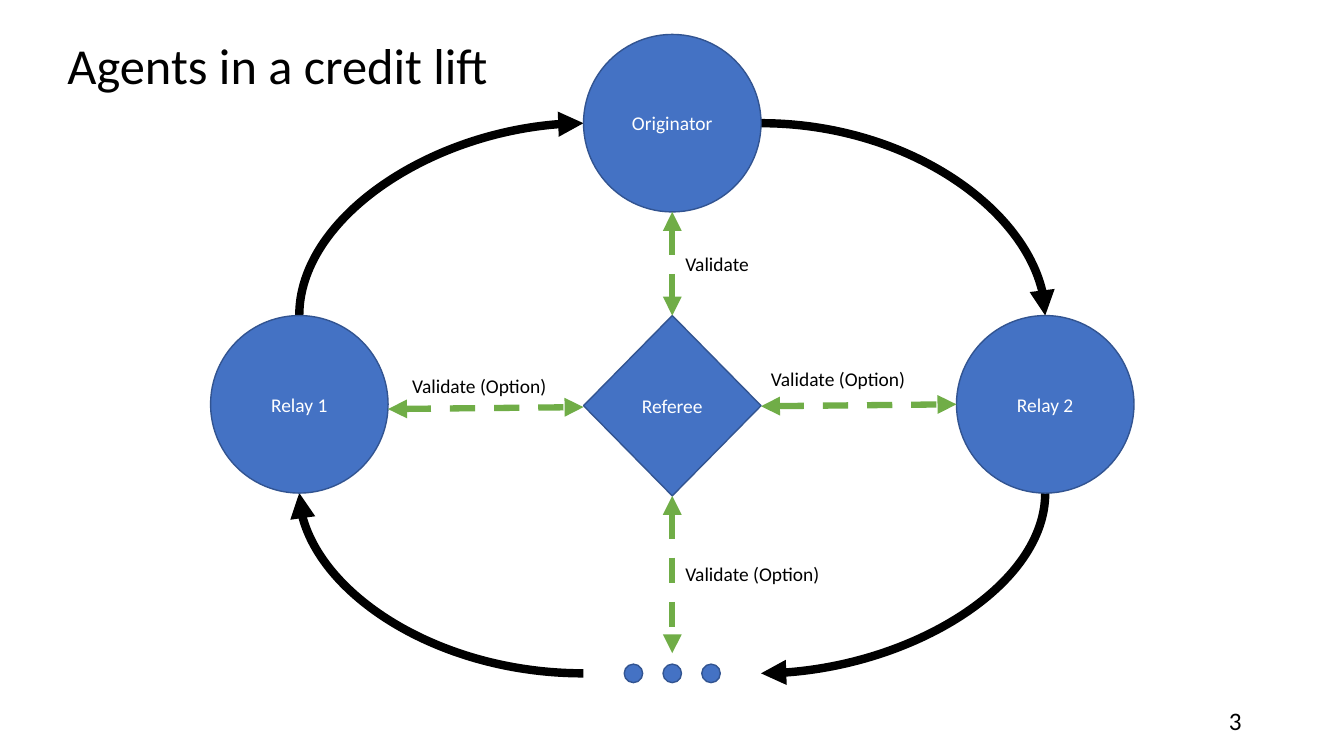
import lxml.etree
import pptx
import pptx.util
import pptx.dml.color
import pptx.enum.dml
import pptx.enum.shapes
import pptx.enum.text
import pptx.oxml.ns
from dataclasses import dataclass

Pt = pptx.util.Pt
RGB = pptx.dml.color.RGBColor
Shape = pptx.enum.shapes.MSO_SHAPE
Link = pptx.enum.shapes.MSO_CONNECTOR
Align = pptx.enum.text.PP_ALIGN
Middle = pptx.enum.text.MSO_ANCHOR.MIDDLE
qn = pptx.oxml.ns.qn


@dataclass
class Theme:
    face: str = "Calibri"
    blue: RGB = RGB(0x44, 0x72, 0xC4)
    edge: RGB = RGB(0x32, 0x54, 0x91)
    green: RGB = RGB(0x70, 0xAD, 0x47)
    black: RGB = RGB(0, 0, 0)
    white: RGB = RGB(255, 255, 255)
    title: float = 36
    label: float = 13.9
    number: float = 18


theme = Theme()


def write(shape, text, size, color, align=Align.LEFT):
    """Put one styled line of text into a shape."""
    frame = shape.text_frame
    frame.word_wrap = True
    frame.text = text
    line = frame.paragraphs[0]
    line.alignment = align
    line.font.name = theme.face
    line.font.size = Pt(size)
    line.font.color.rgb = color
    return frame


def join(kind, start, end, color, width, heads, dash=None):
    """Draw a connector with arrowheads at the named ends."""
    link = slide.shapes.add_connector(kind, *map(Pt, start + end))
    link.line.color.rgb = color
    link.line.width = Pt(width)
    if dash:
        link.line.dash_style = dash
    props = link._element.spPr
    for head in heads:
        tip = lxml.etree.SubElement(props.find(qn("a:ln")), qn(f"a:{head}"))
        tip.set("type", "triangle")
    lxml.etree.SubElement(props, qn("a:effectLst"))
    return props


deck = pptx.Presentation()
deck.slide_width, deck.slide_height = Pt(960), Pt(540)
slide = deck.slides.add_slide(deck.slide_layouts[5])

# Title
title = slide.shapes.title
title.left, title.top, title.width, title.height = map(Pt, (41, 27.4, 878, 43.2))
frame = write(title, "Agents in a credit lift", theme.title, theme.black)
frame.auto_size = pptx.enum.text.MSO_AUTO_SIZE.NONE
frame.vertical_anchor = Middle
frame.paragraphs[0].line_spacing = 0.9

# Centres of the ring
mid, reach, rad = 480.2, 266.4, 63.4
top, row, base = 88, 288.8, 481
west, east = mid - reach, mid + reach
left, right = mid - rad, mid + rad
tall = 64.4
hub = row - rad + tall

# Curved arrows, each running from a level end to an upright end
for side, relay, level, edge, head in [
    (left, west, top, row - rad, "headEnd"),
    (left, west, base, row + rad, "tailEnd"),
    (right, east, base, row + rad, "headEnd"),
    (right, east, top, row - rad, "tailEnd"),
]:
    props = join(Link.CURVE, (side, level), (relay, edge), theme.black, 6, [head])
    props.find(qn("a:prstGeom")).set("prst", "curvedConnector2")

# Agents, referee and the dots for further relays
nodes = [
    (Shape.OVAL, "Originator", mid, top, rad, rad),
    (Shape.OVAL, "Relay 1", west, row, rad, rad),
    (Shape.OVAL, "Relay 2", east, row, rad, rad),
    (Shape.DIAMOND, "Referee", mid, hub, rad, tall),
]
nodes += [(Shape.OVAL, "", mid + step * 27.7, base, 6.6, 6.6) for step in (-1, 0, 1)]
for kind, name, x, y, wide, high in nodes:
    node = slide.shapes.add_shape(
        kind, Pt(x - wide), Pt(y - high), Pt(2 * wide), Pt(2 * high))
    node.shadow.inherit = False
    node.fill.solid()
    node.fill.fore_color.rgb = theme.blue
    node.line.color.rgb = theme.edge
    node.line.width = Pt(1)
    if name:
        frame = write(node, name, theme.label, theme.white, Align.CENTER)
        frame.vertical_anchor = Middle

# Dashed validation arrows
for start, end in [
    ((mid, top + rad), (mid, hub - tall)),
    ((mid, hub + tall), (mid, 466.6)),
    ((west + rad, 292.2), (left, 290.8)),
    ((right, 290.2), (east - rad, 288.8)),
]:
    join(Link.STRAIGHT, start, end, theme.green, 4.5, ["headEnd", "tailEnd"],
         pptx.enum.dml.MSO_LINE.DASH)

# Validation labels
for text, x, y, wide in [
    ("Validate", 482.4, 176.4, 99.4),
    ("Validate (Option)", 287.3, 263.5, 182),
    ("Validate (Option)", right, 258.5, 182),
    ("Validate (Option)", 482.4, 398.2, 182),
]:
    box = slide.shapes.add_textbox(Pt(x), Pt(y), Pt(wide), Pt(26.6))
    write(box, text, theme.label, theme.black)

# Page number
box = slide.shapes.add_textbox(Pt(678), Pt(500.5), Pt(216), Pt(28.8))
frame = write(box, "3", theme.number, theme.black, Align.RIGHT)
frame.vertical_anchor = Middle

deck.save("out.pptx")
